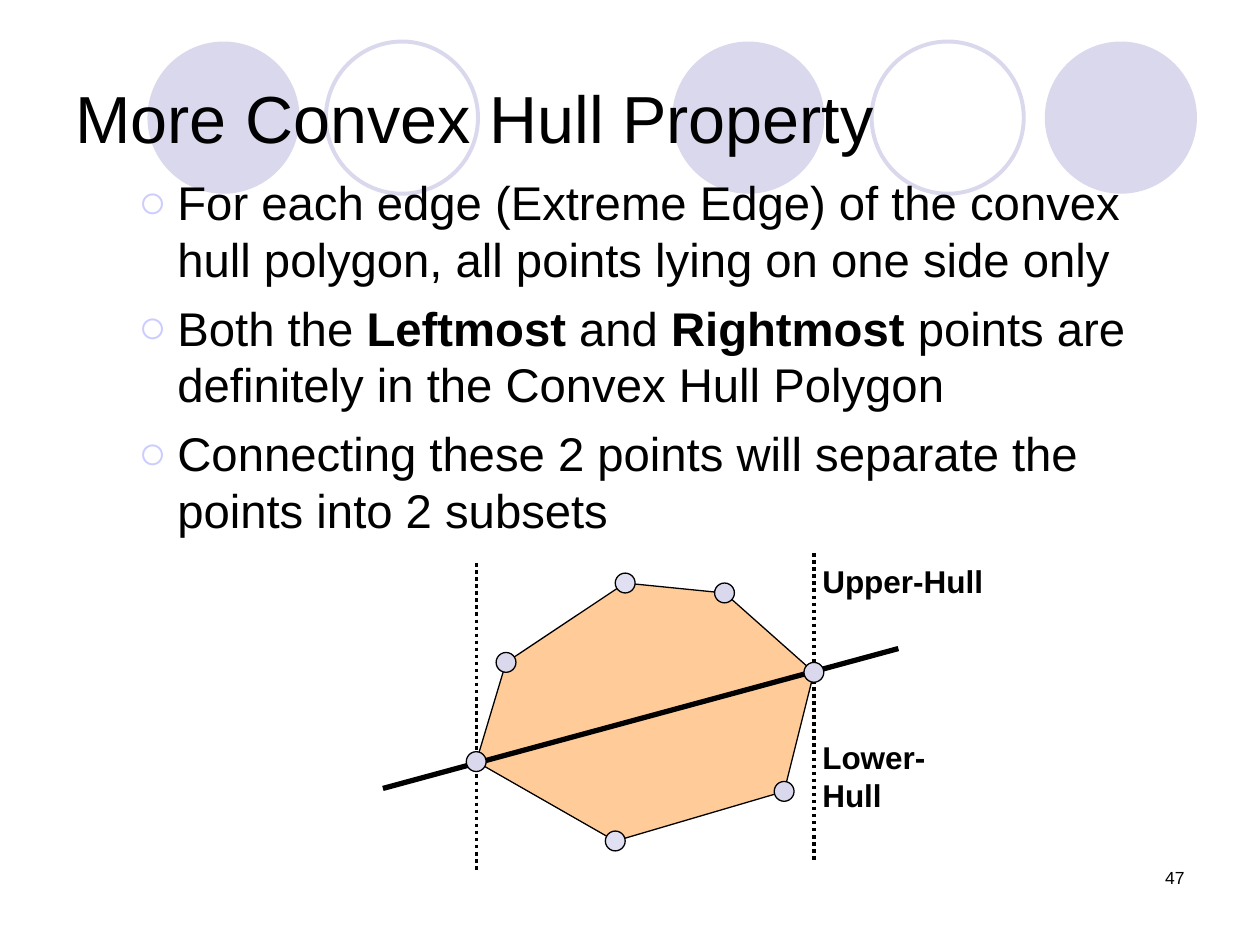
import pptx
import pptx.util
import pptx.dml.color
import pptx.enum.dml
import pptx.enum.shapes
import pptx.enum.text
import pptx.oxml.ns
from lxml import etree

WIDTH, HEIGHT = pptx.util.Inches(10), pptx.util.Inches(7.5)
FONT = "Arial"
COLORS = {"ink": "000000", "lavender": "D9D8EC", "pale": "E1DFF2",
          "bullet": "CCCCFF", "hull": "FFCC99"}
HULL_COLUMNS, HULL_ROWS = 34, 26
HULL_POINTS = [(15, 0, "pale"), (3, 8, "lavender"), (0, 18, "lavender"),
               (14, 26, "pale"), (31, 21, "lavender"), (34, 9, "lavender"),
               (25, 1, "lavender")]
PROPERTIES = [
    [("For each edge (Extreme Edge) of the convex hull polygon, "
      "all points lying on one side only", False)],
    [("Both the ", False), ("Leftmost ", True), ("and ", False),
     ("Rightmost ", True),
     ("points are definitely in the Convex Hull Polygon", False)],
    [("Connecting these 2 points will separate the points into 2 subsets", False)],
]


def rgb(name):
    return pptx.dml.color.RGBColor.from_string(COLORS[name])


def share(left, top, width, height):
    return (int(left * WIDTH), int(top * HEIGHT),
            int(width * WIDTH), int(height * HEIGHT))


def paint(shape, fill=None, line=None, weight=0.75):
    shape.shadow.inherit = False
    if fill:
        shape.fill.solid()
        shape.fill.fore_color.rgb = rgb(fill)
    else:
        shape.fill.background()
    if line:
        shape.line.color.rgb = rgb(line)
        shape.line.width = pptx.util.Pt(weight)
    else:
        shape.line.fill.background()


def add_ellipse(slide, box, **style):
    ellipse = slide.shapes.add_shape(pptx.enum.shapes.MSO_SHAPE.OVAL, *box)
    paint(ellipse, **style)


def add_line(slide, start, end, weight, dash=None):
    line = slide.shapes.add_connector(
        pptx.enum.shapes.MSO_CONNECTOR.STRAIGHT, *start, *end)
    line.line.color.rgb = rgb("ink")
    line.line.width = pptx.util.Pt(weight)
    if dash:
        line.line.dash_style = dash
    etree.SubElement(line._element.spPr, pptx.oxml.ns.qn("a:effectLst"))


def style_font(paragraph, size, bold=None):
    paragraph.font.name = FONT
    paragraph.font.size = pptx.util.Pt(size)
    paragraph.font.color.rgb = rgb("ink")
    paragraph.font.bold = bold


def add_text(slide, box, text, size, bold=None, wrap=True,
             align=pptx.enum.text.PP_ALIGN.LEFT,
             anchor=pptx.enum.text.MSO_ANCHOR.TOP):
    frame = slide.shapes.add_textbox(*box).text_frame
    frame.word_wrap = wrap
    frame.vertical_anchor = anchor
    paragraph = frame.paragraphs[0]
    paragraph.text = text
    paragraph.alignment = align
    style_font(paragraph, size, bold)


def add_circle_band(slide, box):
    left, top, width, height = box
    for position, filled in [(0.5, True), (0.855, True), (0, True),
                             (0.69, False), (0.17, False)]:
        circle = (left + int(position * width), top, height, height)
        if filled:
            add_ellipse(slide, circle, fill="lavender")
        else:
            add_ellipse(slide, circle, line="lavender", weight=2.25)


def add_bullet(paragraph):
    properties = paragraph._p.get_or_add_pPr()
    properties.set("marL", str(pptx.util.Inches(0.81)))
    properties.set("indent", str(pptx.util.Inches(-0.31)))
    color = etree.SubElement(properties, pptx.oxml.ns.qn("a:buClr"))
    etree.SubElement(color, pptx.oxml.ns.qn("a:srgbClr"), val=COLORS["bullet"])
    etree.SubElement(properties, pptx.oxml.ns.qn("a:buFont"), typeface=FONT)
    etree.SubElement(properties, pptx.oxml.ns.qn("a:buChar"), char="○")


def add_properties(slide, box):
    frame = slide.shapes.add_textbox(*box).text_frame
    frame.word_wrap = True
    for index, runs in enumerate(PROPERTIES):
        paragraph = frame.add_paragraph() if index else frame.paragraphs[0]
        add_bullet(paragraph)
        if index:
            paragraph.space_before = pptx.util.Pt(6.8)
        style_font(paragraph, 27)
        for text, bold in runs:
            run = paragraph.add_run()
            run.text = text
            if bold:
                run.font.bold = True


def add_hull(slide, box):
    left, top, width, height = box

    def at(column, row):
        return (left + int(column * width / HULL_COLUMNS),
                top + int(row * height / HULL_ROWS))

    def cell_box(column, row, columns, rows):
        return (*at(column, row), int(columns * width / HULL_COLUMNS),
                int(rows * height / HULL_ROWS))

    corners = [at(column, row) for column, row, _ in HULL_POINTS]
    builder = slide.shapes.build_freeform(*corners[0])
    builder.add_line_segments(corners[1:], close=True)
    paint(builder.convert_to_shape(), fill="hull", line="ink")

    dots = pptx.enum.dml.MSO_LINE.ROUND_DOT
    for column, first_row, last_row in [(0, -2, 29), (HULL_COLUMNS, -3, 28)]:
        add_line(slide, at(column, first_row), at(column, last_row), 2, dots)
    add_line(slide, at(-9.4, 20.7), at(42.5, 6.6), 3)

    for column, row, fill in HULL_POINTS:
        add_ellipse(slide, cell_box(column - 1, row - 1, 2, 2),
                    fill=fill, line="ink")
    for label, row in [("Upper-Hull", -2.7), ("Lower-Hull", 15)]:
        add_text(slide, cell_box(33.6, row, 18.8, 5), label, 18,
                 bold=True, wrap=False)


def main():
    deck = pptx.Presentation()
    deck.slide_width, deck.slide_height = WIDTH, HEIGHT
    slide = deck.slides.add_slide(deck.slide_layouts[6])
    add_circle_band(slide, share(0.117, 0.044, 0.833, 0.161))
    add_text(slide, share(0.717, 0.911, 0.233, 0.067), "47", 10,
             align=pptx.enum.text.PP_ALIGN.RIGHT)
    add_text(slide, share(0.05, 0.04, 0.9, 0.167), "More Convex Hull Property",
             38, anchor=pptx.enum.text.MSO_ANCHOR.MIDDLE)
    add_properties(slide, share(0.05, 0.177, 0.883, 0.735))
    add_hull(slide, share(0.378, 0.617, 0.268, 0.273))
    deck.save("out.pptx")


if __name__ == "__main__":
    main()
